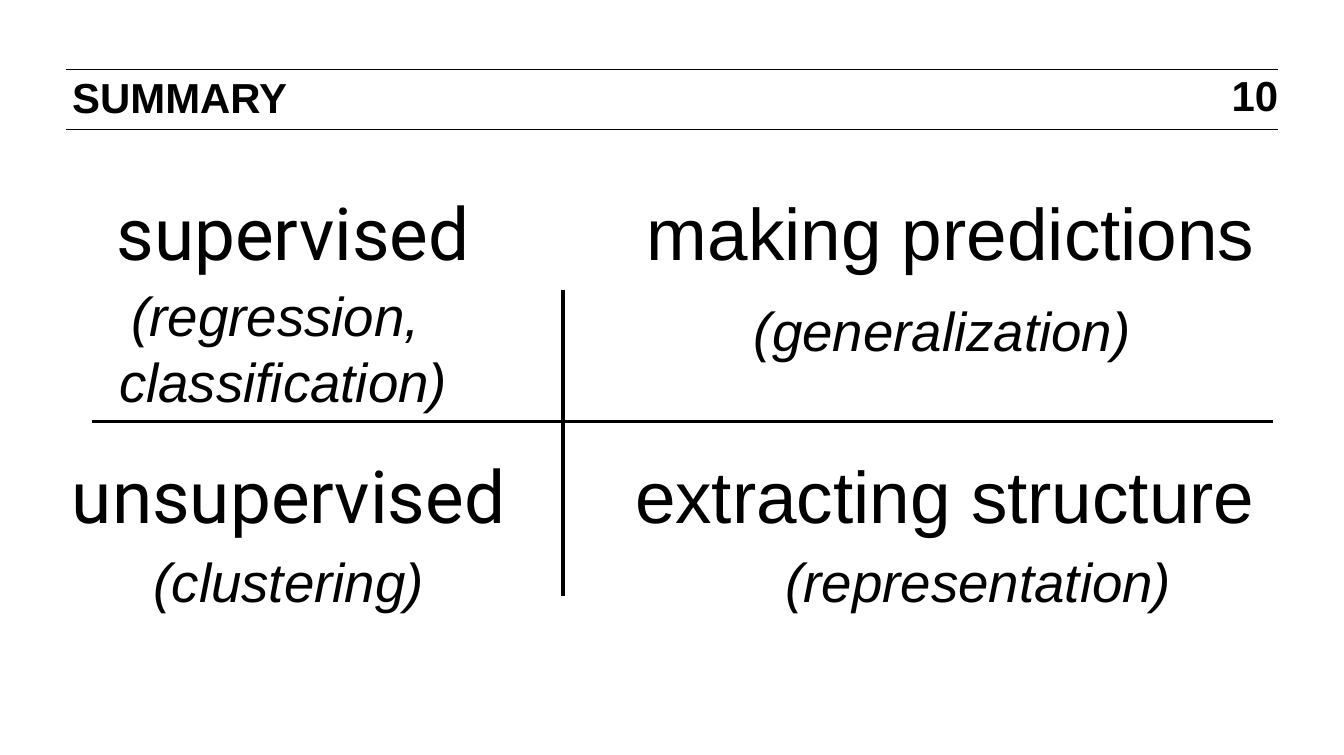
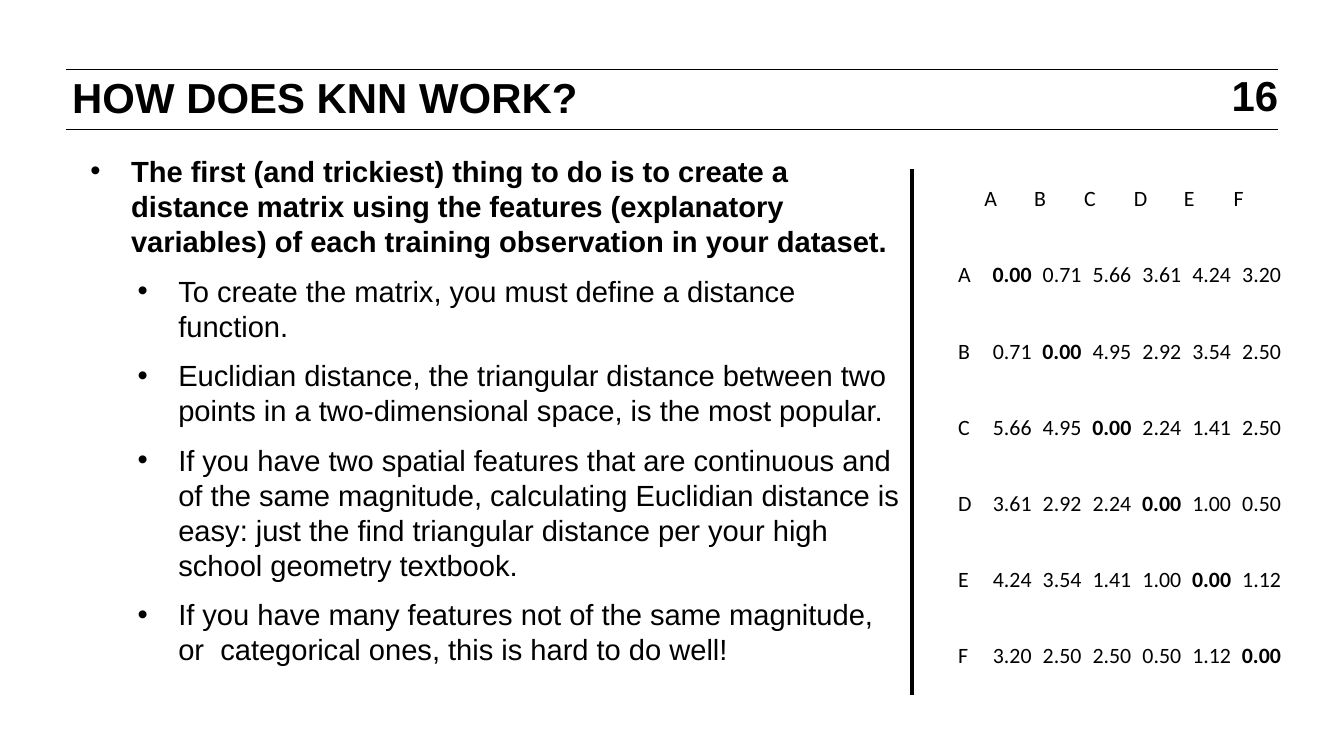
from pptx import Presentation
from pptx.dml.color import RGBColor
from pptx.enum.shapes import MSO_CONNECTOR
from pptx.enum.text import MSO_ANCHOR, PP_ALIGN
from pptx.oxml.ns import qn
from pptx.util import Emu, Pt
from lxml.etree import SubElement

PX = 9144
COLORS = {"ink": "000000", "paper": "FFFFFF"}
SLIDE_SIZE = (1024, 575)

TITLE_BOX = (45, 54, 700, 33)
NUMBER_BOX = (900, 58, 74, 34)
HEADER_RULES = [(50, 53, 974, 53), (50, 99, 974, 99)]
HEADER_FONT = {"size": Pt(23), "name": "Arial", "bold": True}

SUMMARY = {"title": "SUMMARY", "number": "10"}
SUMMARY_AXES = [(429, 221, 429, 454), (70, 321, 970, 321)]
HEADINGS = [
    ((79, 138, 898, 77), 404, "supervised", "making predictions"),
    ((45, 338, 939, 77), 429, "unsupervised", "extracting structure"),
]
EXAMPLES = [
    ((64, 210, 292, 111), ["(regression,", " classification)"]),
    ((559, 221, 318, 61), ["(generalization)"]),
    ((102, 412, 236, 61), ["(clustering)"]),
    ((583, 412, 325, 61), ["(representation)"]),
]
HEADING_SIZE = Pt(40)
EXAMPLE_FONT = {"size": Pt(30), "name": "Arial", "italic": True}

KNN = {"title": "HOW DOES KNN WORK?", "number": "16"}
KNN_DIVIDER = (695, 129, 695, 529)
BULLETS_BOX = (54, 112, 642, 410)
INDENT, HANGING = 36, 31
BULLETS = [
    (1, "The first (and trickiest) thing to do is to create a distance matrix using "
        "the features (explanatory variables) of each training observation in your dataset."),
    (2, "To create the matrix, you must define a distance function."),
    (2, "Euclidian distance, the triangular distance between two points in a "
        "two-dimensional space, is the most popular."),
    (2, "If you have two spatial features that are continuous and of the same magnitude, "
        "calculating Euclidian distance is easy: just the find triangular distance per "
        "your high school geometry textbook."),
    (2, "If you have many features not of the same magnitude, or  categorical ones, "
        "this is hard to do well!"),
]
MATRIX_ORIGIN = (729, 104)
LABEL_WIDTH, VALUE_WIDTH, ROW_HEIGHT = 20, 38, 58
LABELS = "ABCDEF"
DISTANCES = [
    (0, 0.71, 5.66, 3.61, 4.24, 3.2),
    (0.71, 0, 4.95, 2.92, 3.54, 2.5),
    (5.66, 4.95, 0, 2.24, 1.41, 2.5),
    (3.61, 2.92, 2.24, 0, 1, 0.5),
    (4.24, 3.54, 1.41, 1, 0, 1.12),
    (3.2, 2.5, 2.5, 0.5, 1.12, 0),
]


def px(*lengths):
    return [Emu(length * PX) for length in lengths]


def set_attributes(target, values):
    for name, value in values.items():
        setattr(target, name, value)


def style_font(font, values):
    set_attributes(font, values)
    font.color.rgb = RGBColor.from_string(COLORS["ink"])


def add_line(slide, ends, width):
    line = slide.shapes.add_connector(MSO_CONNECTOR.STRAIGHT, *px(*ends))
    line.line.width = Pt(width)
    line.line.color.rgb = RGBColor.from_string(COLORS["ink"])
    SubElement(line._element.spPr, qn("a:effectLst"))


def add_text_frame(slide, box):
    frame = slide.shapes.add_textbox(*px(*box)).text_frame
    frame.word_wrap = True
    return frame


def next_paragraph(frame, index):
    return frame.add_paragraph() if index else frame.paragraphs[0]


def write(paragraph, text, font, **layout):
    paragraph.text = text
    set_attributes(paragraph, layout)
    style_font(paragraph.font, font)


def add_slide(presentation, header):
    slide = presentation.slides.add_slide(presentation.slide_layouts[5])
    for ends in HEADER_RULES:
        add_line(slide, ends, 0.5)
    title = slide.shapes.title
    set_attributes(title, dict(zip(("left", "top", "width", "height"), px(*TITLE_BOX))))
    title.text_frame.vertical_anchor = MSO_ANCHOR.TOP
    write(title.text_frame.paragraphs[0], header["title"], HEADER_FONT,
          alignment=PP_ALIGN.LEFT, line_spacing=Pt(24.5))
    number = add_text_frame(slide, NUMBER_BOX)
    margins = dict(zip(("margin_left", "margin_top", "margin_right", "margin_bottom"), px(7, 4, 0, 4)))
    set_attributes(number, {"vertical_anchor": MSO_ANCHOR.MIDDLE, **margins})
    write(number.paragraphs[0], header["number"], HEADER_FONT,
          alignment=PP_ALIGN.RIGHT, line_spacing=Pt(23))
    return slide


def add_heading(slide, box, tab, topic, goal):
    paragraph = add_text_frame(slide, box).paragraphs[0]
    tabs = SubElement(paragraph._p.get_or_add_pPr(), qn("a:tabLst"))
    SubElement(tabs, qn("a:tab"), pos=str(tab * PX), algn="l")
    for text, name in ((topic, "Roboto"), ("\t" + goal, "Arial")):
        run = paragraph.add_run()
        run.text = text
        style_font(run.font, {"size": HEADING_SIZE, "name": name})


def add_bullets(slide):
    frame = add_text_frame(slide, BULLETS_BOX)
    for index, (level, text) in enumerate(BULLETS):
        paragraph = next_paragraph(frame, index)
        properties = paragraph._p.get_or_add_pPr()
        properties.set("marL", str(level * INDENT * PX))
        properties.set("indent", str(-HANGING * PX))
        SubElement(properties, qn("a:buFont"), typeface="Arial")
        SubElement(properties, qn("a:buChar"), char="•")
        write(paragraph, text, {"size": Pt(16), "name": "Arial", "bold": level == 1},
              level=level - 1, space_before=Pt(8 if index else 0))


def add_matrix(slide):
    rows = [("", *LABELS)]
    rows += [(label, *(f"{value:.2f}" for value in values))
             for label, values in zip(LABELS, DISTANCES)]
    count = len(rows)
    size = (LABEL_WIDTH + VALUE_WIDTH * len(LABELS), ROW_HEIGHT * count)
    table = slide.shapes.add_table(count, count, *px(*MATRIX_ORIGIN, *size)).table
    set_attributes(table, {"first_row": False, "horz_banding": False})
    margins = dict(zip(("margin_left", "margin_top", "margin_right", "margin_bottom"), px(1, 1, 1, 0)))
    for index in range(count):
        table.columns[index].width = px(VALUE_WIDTH if index else LABEL_WIDTH)[0]
        table.rows[index].height = px(ROW_HEIGHT)[0]
    for row, texts in enumerate(rows):
        for column, text in enumerate(texts):
            cell = table.cell(row, column)
            set_attributes(cell, {"vertical_anchor": MSO_ANCHOR.BOTTOM, **margins})
            cell.fill.solid()
            cell.fill.fore_color.rgb = RGBColor.from_string(COLORS["paper"])
            is_value = row > 0 and column > 0
            write(cell.text_frame.paragraphs[0], text,
                  {"size": Pt(12), "name": "Calibri", "bold": is_value and row == column},
                  alignment=PP_ALIGN.RIGHT if is_value else PP_ALIGN.LEFT)


def build_summary(presentation):
    slide = add_slide(presentation, SUMMARY)
    for ends in SUMMARY_AXES:
        add_line(slide, ends, 2)
    for heading in HEADINGS:
        add_heading(slide, *heading)
    for box, lines in EXAMPLES:
        frame = add_text_frame(slide, box)
        for index, text in enumerate(lines):
            write(next_paragraph(frame, index), text, EXAMPLE_FONT, alignment=PP_ALIGN.CENTER)


def build_knn(presentation):
    slide = add_slide(presentation, KNN)
    add_bullets(slide)
    add_matrix(slide)
    add_line(slide, KNN_DIVIDER, 2)


def main():
    presentation = Presentation()
    presentation.slide_width, presentation.slide_height = px(*SLIDE_SIZE)
    build_summary(presentation)
    build_knn(presentation)
    presentation.save("out.pptx")


if __name__ == "__main__":
    main()
